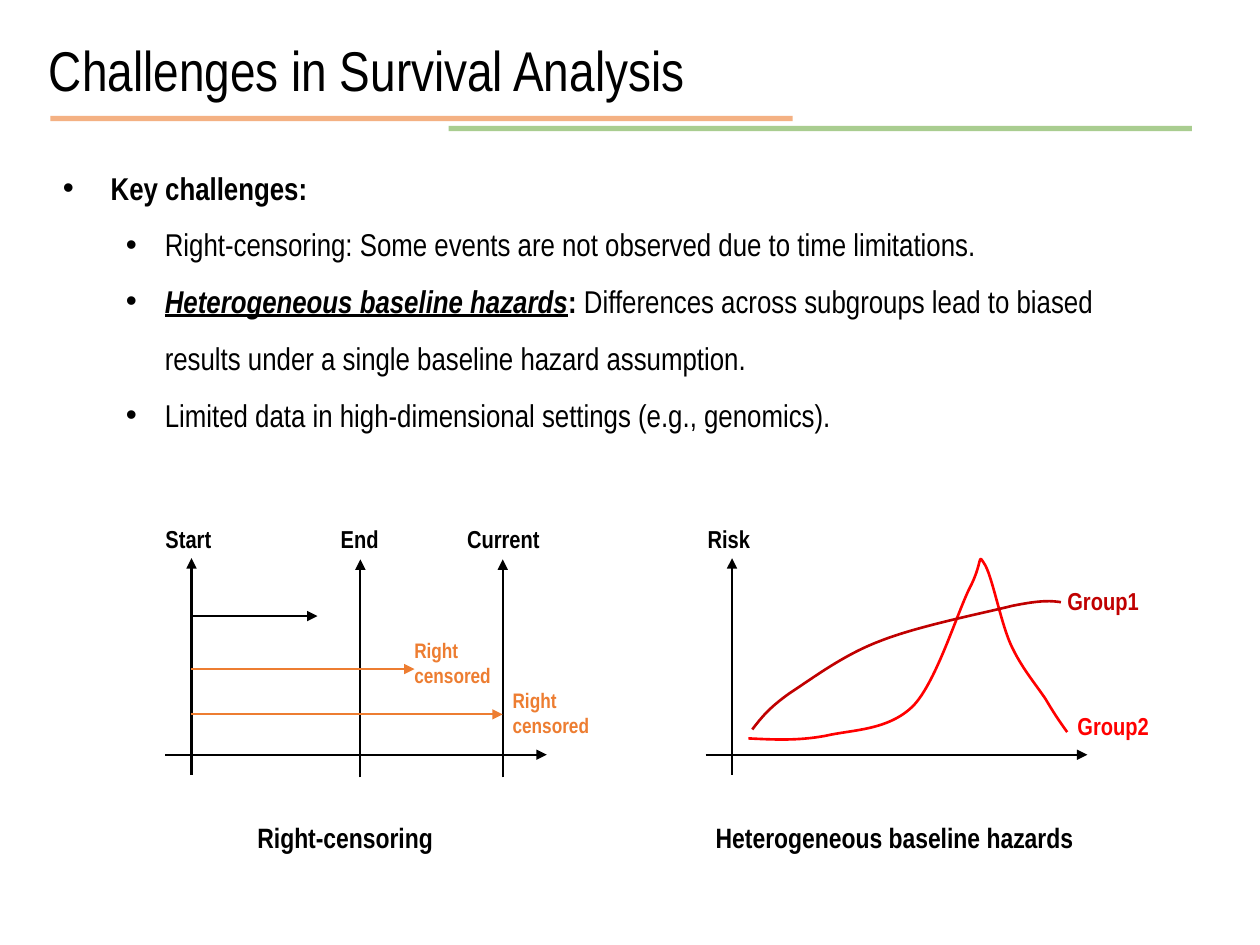
from lxml import etree
from pptx import Presentation
from pptx.dml.color import RGBColor
from pptx.enum.shapes import MSO_CONNECTOR
from pptx.enum.text import MSO_AUTO_SIZE, PP_ALIGN
from pptx.oxml.ns import qn
from pptx.util import Inches, Pt

BLACK = RGBColor(0x00, 0x00, 0x00)
ORANGE = RGBColor(0xED, 0x7D, 0x31)
GREEN = RGBColor(0x70, 0xAD, 0x47)
RED = RGBColor(0xFF, 0x00, 0x00)
DARK_RED = RGBColor(0xC0, 0x00, 0x00)
FONT = "Arial Narrow"

TITLE = "Challenges in Survival Analysis"
BOLD = {"bold": True}
KEY_TERM = {"bold": True, "italic": True, "underline": True}
# (level, [(text, font settings), ...])
BULLETS = [
    (0, [("Key challenges:", BOLD)]),
    (1, [("Right-censoring: Some events are not observed due to time limitations.", {})]),
    (1, [("Heterogeneous baseline hazards", KEY_TERM), (":", BOLD),
         (" Differences across subgroups lead to biased results under a single "
          "baseline hazard assumption.", {})]),
    (1, [("Limited data in high-dimensional settings (e.g., genomics).", {})]),
]
INDENTS = [(0.38, -0.38), (0.81, -0.31)]  # left margin, first line by level

# (x1, y, x2, colour)
TITLE_RULES = [(0.4, 0.94, 6.29, ORANGE), (3.56, 1.02, 9.46, GREEN)]

# (x1, y1, x2, y2, colour)
START_X, END_X, CURRENT_X = 1.52, 2.86, 3.99
RISK_AXES = [
    (5.6, 5.99, 8.63, 5.99, BLACK),
    (5.81, 6.15, 5.81, 4.43, BLACK),
]
CENSORING_AXES = [
    (1.31, 5.99, 4.34, 5.99, BLACK),
    (START_X, 6.15, START_X, 4.43, BLACK),
]
CENSORING_ARROWS = [
    (END_X, 6.17, END_X, 4.44, BLACK),
    (CURRENT_X, 6.17, CURRENT_X, 4.44, BLACK),
    (START_X, 4.89, 2.52, 4.89, BLACK),
    (START_X, 5.31, 3.29, 5.31, ORANGE),
    (START_X, 5.67, CURRENT_X, 5.67, ORANGE),
]

# Start point, then control, control, end for each cubic segment
RISK_CURVES = [
    (RED, (5.94, 5.86), [
        (6.14, 5.87), (6.33, 5.88), (6.55, 5.84),
        (6.76, 5.79), (7.05, 5.8), (7.25, 5.6),
        (7.44, 5.4), (7.61, 4.82), (7.71, 4.64),
        (7.8, 4.45), (7.76, 4.39), (7.81, 4.47),
        (7.87, 4.55), (7.94, 4.93), (8.02, 5.11),
        (8.1, 5.29), (8.22, 5.43), (8.3, 5.55),
        (8.37, 5.67), (8.42, 5.74), (8.47, 5.81)]),
    (DARK_RED, (5.97, 5.79), [
        (6.04, 5.7), (6.1, 5.62), (6.27, 5.5),
        (6.44, 5.39), (6.69, 5.2), (6.98, 5.09),
        (7.28, 4.97), (7.79, 4.87), (8.03, 4.81),
        (8.27, 4.76), (8.35, 4.77), (8.42, 4.78)]),
]

# (lines, left, top, width, height, size, colour, alignment)
CENTER, LEFT = PP_ALIGN.CENTER, PP_ALIGN.LEFT
RISK_LABEL = (["Risk"], 5.21, 4.11, 1.15, 0.38, 14, BLACK, CENTER)
CAPTIONS = [
    (["Right-censoring"], 1.77, 6.46, 1.94, 0.37, 16, BLACK, CENTER),
    (["Heterogeneous baseline hazards"], 5.45, 6.46, 3.3, 0.37, 16, BLACK, CENTER),
]
TIME_LABELS = [
    ([name], left, 4.11, 1.15, 0.34, 14, BLACK, CENTER)
    for name, left in [("Start", 0.92), ("End", 2.28), ("Current", 3.42)]
]
SERIES_LABELS = [
    (["Right", "censored"], 3.19, 5.01, 0.86, 0.5, 12, ORANGE, LEFT),
    (["Right", "censored"], 3.97, 5.41, 0.86, 0.5, 12, ORANGE, LEFT),
    (["Group1"], 8.18, 4.6, 1.15, 0.34, 14, DARK_RED, CENTER),
    (["Group2"], 8.26, 5.59, 1.15, 0.34, 14, RED, CENTER),
]


def add_text_box(shapes, left, top, width, height, wrap=True):
    tf = shapes.add_textbox(*map(Inches, (left, top, width, height))).text_frame
    tf.word_wrap = wrap
    tf.auto_size = MSO_AUTO_SIZE.SHAPE_TO_FIT_TEXT
    return tf


def add_run(p, text, size, color=BLACK, **settings):
    r = p.add_run()
    r.text = text
    r.font.color.rgb = color
    for name, value in {"name": FONT, "size": Pt(size), **settings}.items():
        setattr(r.font, name, value)


def next_paragraph(tf, index):
    return tf.paragraphs[0] if index == 0 else tf.add_paragraph()


def add_label(shapes, lines, left, top, width, height, size, color, align):
    tf = add_text_box(shapes, left, top, width, height)
    for i, text in enumerate(lines):
        p = next_paragraph(tf, i)
        p.alignment = align
        add_run(p, text, size, color, bold=True)


def add_bullets(shapes):
    tf = add_text_box(shapes, 0.4, 1.14, 8.52, 2.32)
    for i, (level, runs) in enumerate(BULLETS):
        p = next_paragraph(tf, i)
        p.level = level
        p.line_spacing = 1.5
        margin, first_line = INDENTS[level]
        pPr = p._p.get_or_add_pPr()
        pPr.set("marL", str(Inches(margin)))
        pPr.set("indent", str(Inches(first_line)))
        etree.SubElement(pPr, qn("a:buFont"), typeface="Arial")
        etree.SubElement(pPr, qn("a:buChar"), char="•")
        for text, settings in runs:
            add_run(p, text, 18, **settings)


def add_line(shapes, x1, y1, x2, y2, color, width):
    line = shapes.add_connector(MSO_CONNECTOR.STRAIGHT, *map(Inches, (x1, y1, x2, y2)))
    line.line.color.rgb = color
    line.line.width = Pt(width)
    etree.SubElement(line._element.spPr, qn("a:effectLst"))
    return line


def add_arrow(shapes, x1, y1, x2, y2, color):
    arrow = add_line(shapes, x1, y1, x2, y2, color, 1.25)
    ln = arrow._element.spPr.find(qn("a:ln"))
    etree.SubElement(ln, qn("a:tailEnd"), type="triangle")


def add_curve(shapes, color, start, points):
    """Draw a freeform and turn each three of its points into one cubic segment."""
    builder = shapes.build_freeform(*map(Inches, start))
    builder.add_line_segments([(Inches(x), Inches(y)) for x, y in points], close=False)
    curve = builder.convert_to_shape()
    segments = list(curve._element.iter(qn("a:lnTo")))
    outline = segments[0].getparent()
    for i in range(0, len(segments), 3):
        cubic = etree.SubElement(outline, qn("a:cubicBezTo"))
        for segment in segments[i:i + 3]:
            cubic.append(segment[0])
            outline.remove(segment)
    curve.shadow.inherit = False
    curve.fill.background()
    curve.line.color.rgb = color
    curve.line.width = Pt(1.5)


def main():
    prs = Presentation()
    prs.slide_width, prs.slide_height = Inches(10), Inches(7.5)
    s = prs.slides.add_slide(prs.slide_layouts[6])

    for x1, y, x2, color in TITLE_RULES:
        rule = add_line(s.shapes, x1, y, x2, y, color, 3)
        fill = rule._element.spPr.find(".//" + qn("a:srgbClr"))
        etree.SubElement(fill, qn("a:alpha"), val="60000")

    tf = add_text_box(s.shapes, 0.29, 0.23, 5.3, 0.64, wrap=False)
    add_run(tf.paragraphs[0], TITLE, 32)
    add_bullets(s.shapes)
    for caption in CAPTIONS:
        add_label(s.shapes, *caption)

    risk_plot = s.shapes.add_group_shape().shapes
    for axis in RISK_AXES:
        add_arrow(risk_plot, *axis)
    for curve in RISK_CURVES:
        add_curve(risk_plot, *curve)
    add_label(risk_plot, *RISK_LABEL)

    time_axes = s.shapes.add_group_shape().shapes
    for axis in CENSORING_AXES:
        add_arrow(time_axes, *axis)
    for label in TIME_LABELS:
        add_label(s.shapes, *label)
    for arrow in CENSORING_ARROWS:
        add_arrow(s.shapes, *arrow)
    for label in SERIES_LABELS:
        add_label(s.shapes, *label)

    prs.save("out.pptx")


if __name__ == "__main__":
    main()
